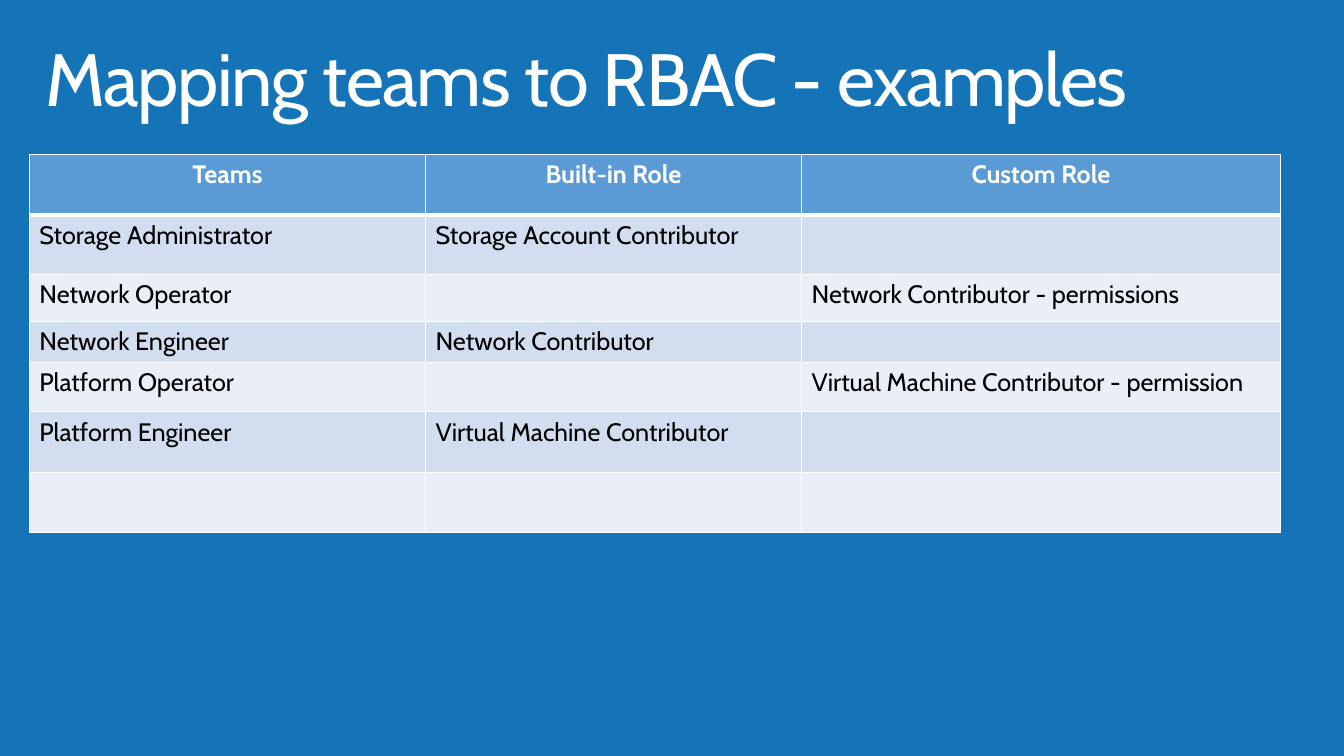
from dataclasses import dataclass

from lxml.etree import SubElement
from pptx import Presentation
from pptx.dml.color import RGBColor
from pptx.enum.text import MSO_ANCHOR as Anchor, MSO_AUTO_SIZE as AutoSize, PP_ALIGN as Align
from pptx.oxml.ns import qn
from pptx.util import Inches, Pt


@dataclass(frozen=True)
class Theme:
    font: str = "Cabin"
    background: str = "1574B8"
    light: str = "FFFFFF"
    dark: str = "000000"
    header: str = "5B9BD5"
    bands: tuple = ("D2DEEF", "EAEFF7")
    title_size: float = 52.9
    table_size: float = 18
    thin: float = 1
    thick: float = 3


TITLE = "Mapping teams to RBAC - examples"
ROLES = [
    ("Teams", "Built-in Role", "Custom Role"),
    ("Storage Administrator", "Storage Account Contributor", ""),
    ("Network Operator", "", "Network Contributor - permissions"),
    ("Network Engineer", "Network Contributor", ""),
    ("Platform Operator", "", "Virtual Machine Contributor - permission"),
    ("Platform Engineer", "Virtual Machine Contributor", ""),
    ("", "", ""),
]
# Percentages of the slide's width and height
COLUMN_WIDTHS = (29.48, 27.98, 35.63)
ROW_HEIGHTS = (8, 7.87, 6.27, 5.33, 6.53, 8, 8)


def write(frame, text, *, font, size, color, bold=False, align=Align.LEFT,
          line_spacing=None, tracking=None):
    """Put one formatted paragraph in a text frame."""
    paragraph = frame.paragraphs[0]
    paragraph.alignment = align
    paragraph.line_spacing = line_spacing
    if not text:
        return
    run = paragraph.add_run()
    run.text = text
    run.font.name = font
    run.font.size = Pt(size)
    run.font.bold = bold
    run.font.color.rgb = RGBColor.from_string(color)
    if tracking is not None:
        run.font._element.set("spc", str(round(tracking * 100)))


class SlideBuilder:
    def __init__(self, presentation, theme):
        self.theme = theme
        self.width = presentation.slide_width
        self.height = presentation.slide_height
        self.slide = presentation.slides.add_slide(presentation.slide_layouts[5])
        fill = self.slide.background.fill
        fill.solid()
        fill.fore_color.rgb = RGBColor.from_string(theme.background)

    def across(self, percent):
        return round(self.width * percent / 100)

    def down(self, percent):
        return round(self.height * percent / 100)

    def title(self, text, left, top, width, height):
        shape = self.slide.shapes.title
        shape.left, shape.top = self.across(left), self.down(top)
        shape.width, shape.height = self.across(width), self.down(height)
        frame = shape.text_frame
        frame.word_wrap = True
        frame.auto_size = AutoSize.NONE
        frame.vertical_anchor = Anchor.TOP
        frame.margin_left = frame.margin_right = Inches(0.16)
        frame.margin_top = frame.margin_bottom = Inches(0.1)
        write(frame, text, font=self.theme.font, size=self.theme.title_size,
              color=self.theme.light, line_spacing=0.9, tracking=-1)

    def table(self, rows, left, top, widths, heights):
        shape = self.slide.shapes.add_table(
            len(rows), len(widths), self.across(left), self.down(top),
            self.across(sum(widths)), self.down(sum(heights)))
        table = shape.table
        for column, width in zip(table.columns, widths):
            column.width = self.across(width)
        for row, height in zip(table.rows, heights):
            row.height = self.down(height)
        for row_index, texts in enumerate(rows):
            for column_index, text in enumerate(texts):
                self.cell(table.cell(row_index, column_index), text, row_index)

    def cell(self, cell, text, row_index):
        theme = self.theme
        is_header = row_index == 0
        # The rule under the header is shared by the first two rows
        self.borders(cell, top=theme.thick if row_index == 1 else theme.thin,
                     bottom=theme.thick if is_header else theme.thin)
        cell.fill.solid()
        color = theme.header if is_header else theme.bands[(row_index - 1) % 2]
        cell.fill.fore_color.rgb = RGBColor.from_string(color)
        write(cell.text_frame, text, font=theme.font, size=theme.table_size,
              color=theme.light if is_header else theme.dark, bold=is_header,
              align=Align.CENTER if is_header else Align.LEFT)

    def borders(self, cell, top, bottom):
        properties = cell._tc.get_or_add_tcPr()
        thin = self.theme.thin
        for side, weight in (("L", thin), ("R", thin), ("T", top), ("B", bottom)):
            line = SubElement(properties, qn(f"a:ln{side}"), w=str(Pt(weight)))
            fill = SubElement(line, qn("a:solidFill"))
            SubElement(fill, qn("a:srgbClr"), val=self.theme.light)


def main():
    presentation = Presentation()
    presentation.slide_width = Inches(13.33)
    presentation.slide_height = Inches(7.5)
    builder = SlideBuilder(presentation, Theme())

    # Heading
    builder.title(TITLE, left=2.18, top=4.27, width=94.67, height=13.07)

    # Teams and their roles
    builder.table(ROLES, left=2.18, top=20.4, widths=COLUMN_WIDTHS, heights=ROW_HEIGHTS)

    presentation.save("out.pptx")


if __name__ == "__main__":
    main()
